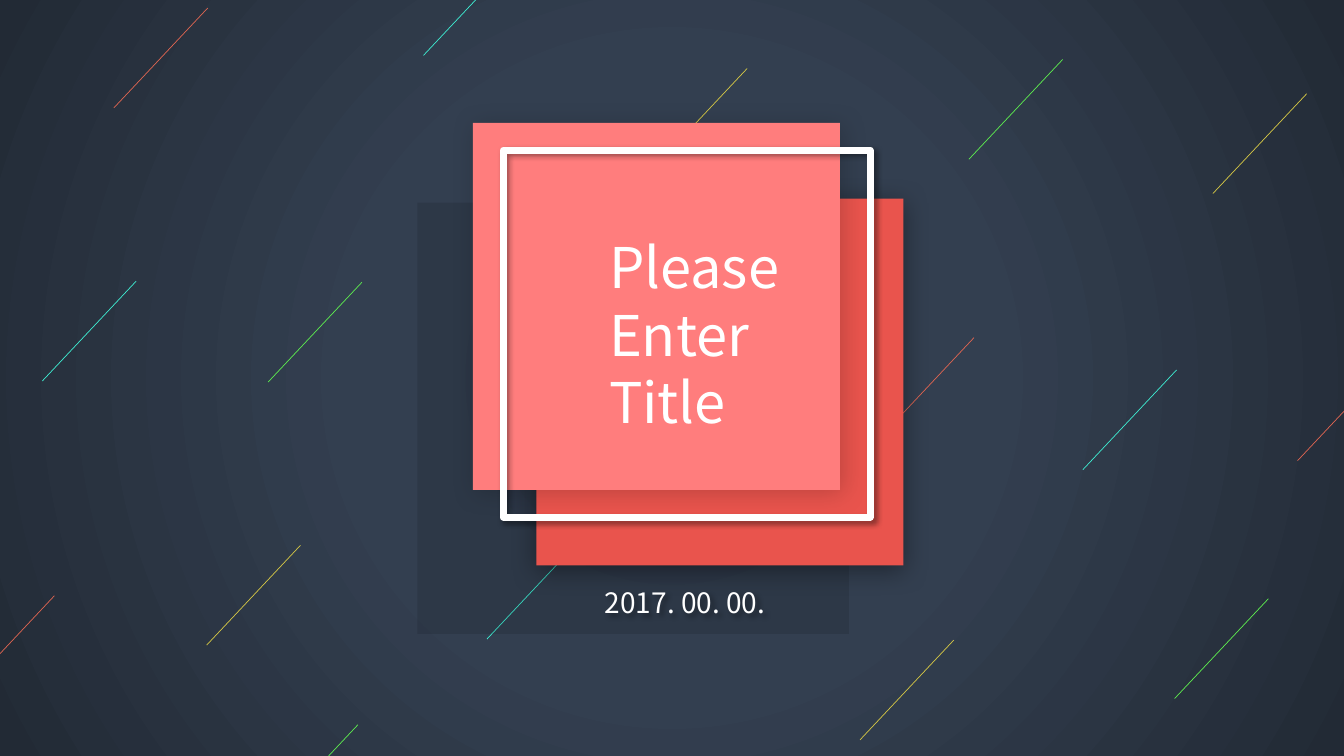
"""Build a dark title slide with layered red squares and diagonal streaks."""
import lxml.etree
import pptx
import pptx.dml.color
import pptx.enum.shapes
import pptx.enum.text
import pptx.oxml
import pptx.oxml.ns
import pptx.util

Inches = pptx.util.Inches
Pt = pptx.util.Pt
RGBColor = pptx.dml.color.RGBColor
qn = pptx.oxml.ns.qn

FONT = "Noto Sans CJK KR"
WHITE = RGBColor(0xFF, 0xFF, 0xFF)
BLACK = RGBColor(0x00, 0x00, 0x00)
NAVY = RGBColor(0x33, 0x3F, 0x50)
DARK_NAVY = RGBColor(0x22, 0x2A, 0x35)
RED = RGBColor(0xE9, 0x54, 0x4D)
PINK = RGBColor(0xFF, 0x7D, 0x7D)
TEAL = RGBColor(0x3E, 0xEC, 0xD1)
CORAL = RGBColor(0xDF, 0x65, 0x51)
YELLOW = RGBColor(0xD5, 0xC7, 0x45)
GREEN = RGBColor(0x5D, 0xEC, 0x4F)

STREAK_WIDTH, STREAK_HEIGHT = 0.93, 0.99
STREAK_TOPS = {
    TEAL: [(5.76, 5.35), (11.67, 3.67), (1.35, 2.79), (5.13, -0.44)],
    CORAL: [(9.66, 3.35), (2.06, 0.08), (0.54, 5.91), (13.8, 3.58)],
    YELLOW: [(7.41, 0.68), (9.46, 6.35), (2.98, 5.41), (12.96, 0.93)],
    GREEN: [(10.54, 0.59), (3.59, 2.8), (12.58, 5.94), (3.55, 7.19)],
}
BACKGROUND_STOPS = [(0, DARK_NAVY), (29, NAVY), (30, NAVY), (41, NAVY), (100, DARK_NAVY)]
SQUARES = [
    (4.14, 2.01, 4.28, BLACK, None),
    (5.32, 1.97, 3.64, RED, (40, 19, 3, 90)),
    (4.69, 1.22, 3.64, PINK, (19, 18, 3, 45)),
    (4.99, 1.49, 3.64, None, (40, 4, 3, 45)),
]


def add_shadow(shape, opacity, blur, distance, angle):
    shape.shadow.inherit = False
    effects = shape.element.spPr.find(qn("a:effectLst"))
    shadow = lxml.etree.SubElement(
        effects, qn("a:outerShdw"), blurRad=str(Pt(blur)), dist=str(Pt(distance)),
        dir=str(angle * 60000), algn="tl", rotWithShape="0")
    color = lxml.etree.SubElement(shadow, qn("a:srgbClr"), val=str(BLACK))
    lxml.etree.SubElement(color, qn("a:alpha"), val=str(opacity * 1000))


def write_text(shape, text, size):
    frame = shape.text_frame
    frame.text = text
    frame.word_wrap = True
    frame.auto_size = pptx.enum.text.MSO_AUTO_SIZE.SHAPE_TO_FIT_TEXT
    frame.vertical_anchor = pptx.enum.text.MSO_ANCHOR.TOP
    for paragraph in frame.paragraphs:
        paragraph.alignment = pptx.enum.text.PP_ALIGN.LEFT
        paragraph.font.name = FONT
        paragraph.font.size = Pt(size)
        paragraph.font.color.rgb = WHITE


presentation = pptx.Presentation()
presentation.slide_width = Inches(13.33)
presentation.slide_height = Inches(7.5)
slide = presentation.slides.add_slide(presentation.slide_layouts[5])

slide.background.fill.solid()
solid_fill = slide.element.find(".//" + qn("p:bgPr")).find(qn("a:solidFill"))
stops = "".join(
    f'<a:gs pos="{position * 1000}"><a:srgbClr val="{color}"/></a:gs>'
    for position, color in BACKGROUND_STOPS)
gradient = pptx.oxml.parse_xml(
    f'<a:gradFill {pptx.oxml.ns.nsdecls("a")} rotWithShape="1"><a:gsLst>{stops}</a:gsLst>'
    '<a:path path="circle"><a:fillToRect l="50000" t="50000" r="50000" b="50000"/></a:path>'
    '</a:gradFill>')
solid_fill.getparent().replace(solid_fill, gradient)

for color, tops in STREAK_TOPS.items():
    for x, y in tops:
        streak = slide.shapes.add_connector(
            pptx.enum.shapes.MSO_CONNECTOR.STRAIGHT, Inches(x), Inches(y),
            Inches(x - STREAK_WIDTH), Inches(y + STREAK_HEIGHT))
        streak.line.color.rgb = color
        streak.line.width = Pt(0.5)
        lxml.etree.SubElement(streak.element.spPr, qn("a:effectLst"))

for left, top, side, color, shadow in SQUARES:
    square = slide.shapes.add_shape(
        pptx.enum.shapes.MSO_SHAPE.RECTANGLE,
        Inches(left), Inches(top), Inches(side), Inches(side))
    if color is None:
        square.fill.background()
        square.line.color.rgb = WHITE
        square.line.width = Pt(5)
    else:
        square.fill.solid()
        square.fill.fore_color.rgb = color
        square.line.fill.background()
    if shadow:
        add_shadow(square, *shadow)
    else:
        square.shadow.inherit = False
        fill_color = square.element.spPr.find(".//" + qn("a:srgbClr"))
        lxml.etree.SubElement(fill_color, qn("a:alpha"), val="10000")

title = slide.shapes.title
title.left, title.top = Inches(5.94), Inches(2.26)
title.width, title.height = Inches(2.01), Inches(2.12)
write_text(title, "Please\nEnter\nTitle", 40)
title.element.getparent().append(title.element)

date = slide.shapes.add_textbox(Inches(5.9), Inches(5.76), Inches(1.8), Inches(0.44))
write_text(date, "2017. 00. 00.", 20)
add_shadow(date, 40, 4, 3, 45)

presentation.save("out.pptx")
